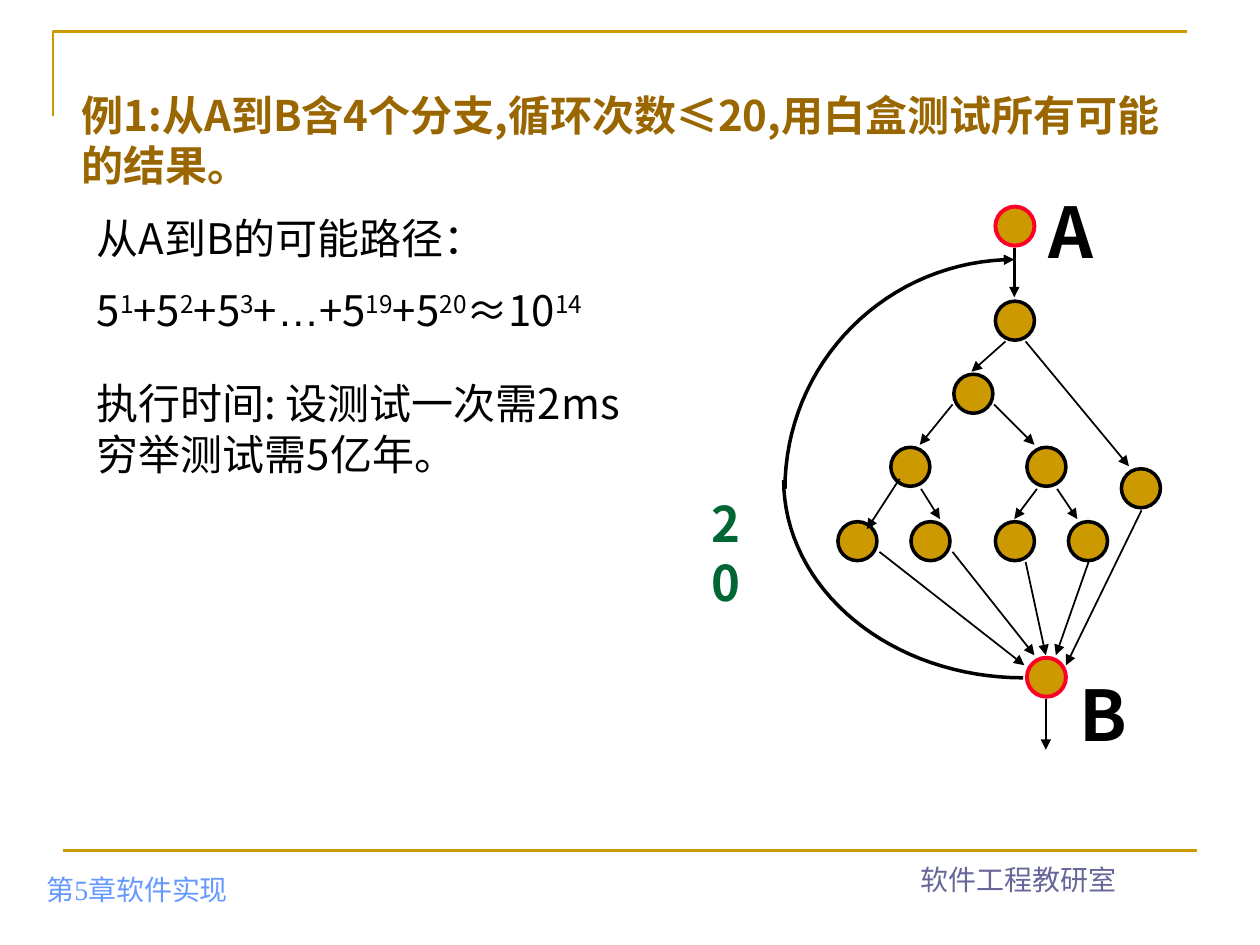
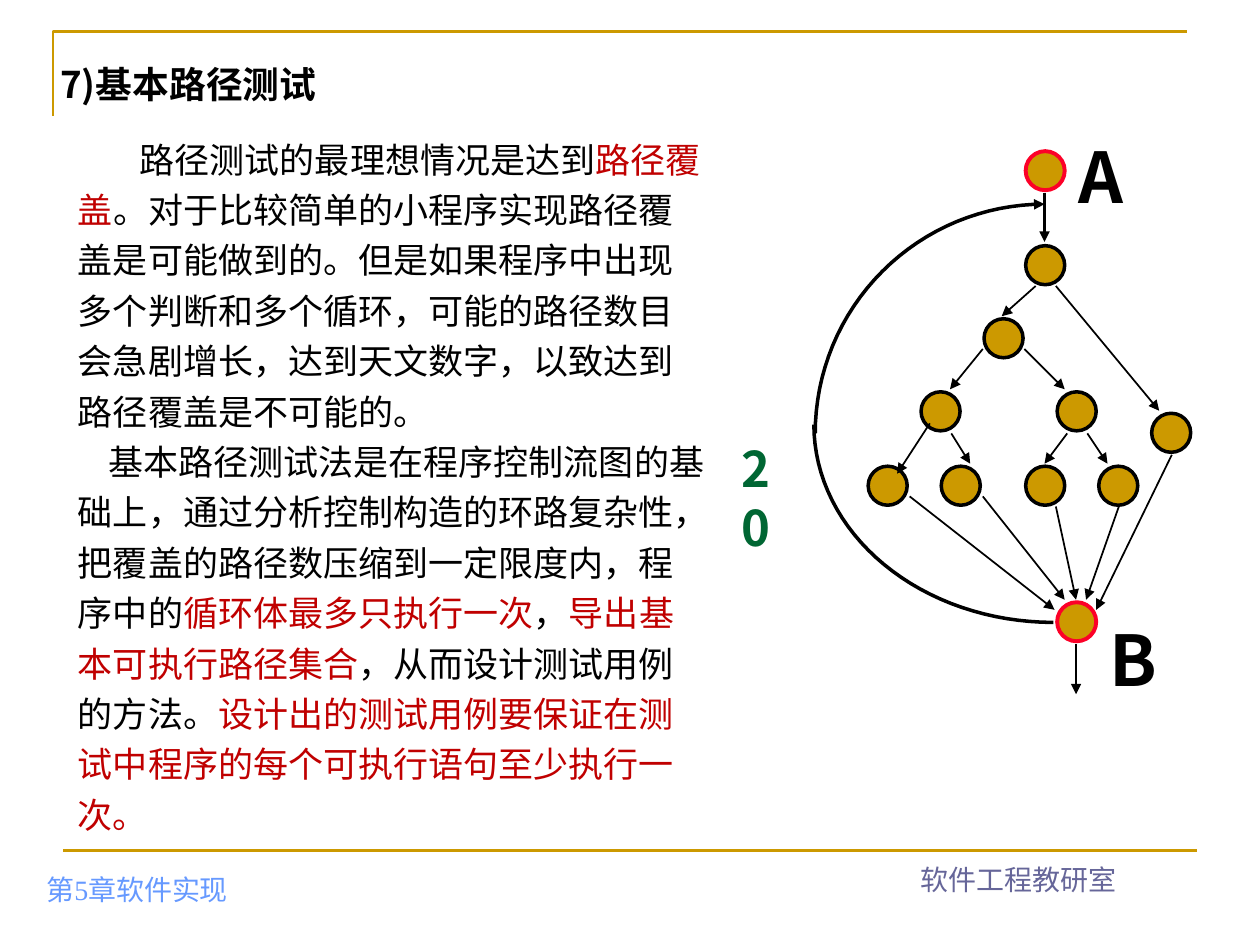
"""Build two slides on path testing, each with text beside a flow graph."""
from math import cos, sin, pi
from lxml.etree import SubElement
from pptx import Presentation
from pptx.dml.color import RGBColor
from pptx.enum.shapes import MSO_CONNECTOR as CONN, MSO_SHAPE as SHAPE
from pptx.enum.text import MSO_ANCHOR as ANCHOR, PP_ALIGN as ALIGN
from pptx.oxml.ns import qn
from pptx.util import Inches, Pt

COLORS = {
    "gold": "CC9900",
    "title": "996600",
    "chapter": "6699FF",
    "office": "666699",
    "green": "006633",
    "key": "C00000",
    "ring": "FC0128",
    "black": "000000",
}
SANS, SERIF = "Noto Sans CJK SC", "Times New Roman"
SUP = {"base": 30000}
KEY = {"color": "key"}


def add_text(s, box, paragraphs, size, color="black", bold=False, font=SANS):
    sp = s.shapes.add_textbox(*[Inches(v) for v in box])
    tf = sp.text_frame
    tf.word_wrap = True
    for i, runs in enumerate(paragraphs):
        p = tf.paragraphs[0] if i == 0 else tf.add_paragraph()
        for text, opts in runs:
            r = p.add_run()
            r.text = text
            r.font.size = Pt(size)
            r.font.bold = bold
            r.font.name = opts.get("font", font)
            r.font.color.rgb = RGBColor.from_string(COLORS[opts.get("color", color)])
            rPr = r.font._element
            SubElement(rPr, qn("a:ea")).set("typeface", SANS)
            if "base" in opts:
                rPr.set("baseline", str(opts["base"]))
    return tf


def style_line(sp, color, width, arrow=False):
    sp.line.color.rgb = RGBColor.from_string(COLORS[color])
    sp.line.width = Pt(width)
    spPr = sp._element.spPr
    if arrow:
        SubElement(spPr.find(qn("a:ln")), qn("a:tailEnd")).set("type", "triangle")
    SubElement(spPr, qn("a:effectLst"))


NODE_SIZE = 0.31
NODES = [
    (7.9, 1.64, "ring"), (7.9, 2.39, "black"), (7.57, 2.97, "black"),
    (7.07, 3.55, "black"), (8.15, 3.55, "black"), (8.9, 3.72, "black"),
    (6.65, 4.14, "black"), (7.23, 4.14, "black"), (7.9, 4.14, "black"),
    (8.48, 4.14, "black"), (8.15, 5.22, "ring"),
]
EDGES = [
    (8.05, 1.97, 8.05, 2.36, 2),
    (7.98, 2.71, 7.71, 2.95, 1),
    (8.14, 2.71, 8.96, 3.7, 1),
    (7.56, 3.21, 7.3, 3.53, 1),
    (7.89, 3.21, 8.21, 3.53, 1),
    (7.14, 3.8, 6.88, 4.2, 1),
    (7.31, 3.88, 7.46, 4.12, 1),
    (8.23, 3.88, 8.05, 4.12, 1),
    (8.39, 3.88, 8.55, 4.12, 1),
    (6.98, 4.38, 8.13, 5.28, 1),
    (7.56, 4.38, 8.21, 5.2, 1),
    (8.14, 4.46, 8.3, 5.2, 1),
    (8.64, 4.46, 8.38, 5.2, 1),
    (9.06, 4.05, 8.46, 5.28, 1),
    (8.3, 5.55, 8.3, 5.95, 1),
]
LOOP_ARCS = [(8.05, 3.88, 1.82, -1.82, True), (8.12, 3.81, 1.9, 1.57, False)]
ARC_STEPS = 32
GRAPH_LABELS = [
    ("20", 5.55, 3.87, 0.59, 0.56, 28, "green"),
    ("A", 8.22, 1.45, 0.33, 0.76, 40, "black"),
    ("B", 8.47, 5.28, 0.33, 0.76, 40, "black"),
]

prs = Presentation()
prs.slide_width, prs.slide_height = Inches(10), Inches(7.5)
blank = prs.slide_layouts[6]

for dx, dy in [(0, 0), (0.24, -0.44)]:
    s = prs.slides.add_slide(blank)

    fb = s.shapes.build_freeform(Inches(0.42), Inches(0.92))
    fb.add_line_segments([(Inches(0.42), Inches(0.25)), (Inches(9.42), Inches(0.25))], close=False)
    sp = fb.convert_to_shape()
    sp.fill.background()
    style_line(sp, "gold", 1.5)
    sp = s.shapes.add_connector(CONN.STRAIGHT, Inches(0.5), Inches(6.75), Inches(9.5), Inches(6.75))
    style_line(sp, "gold", 1.5)
    tf = add_text(s, (0.27, 6.74, 3.15, 0.5), [[("第5章软件实现", {})]], 16, "chapter", font=SERIF)
    tf.vertical_anchor = ANCHOR.BOTTOM
    tf = add_text(s, (6.5, 6.66, 3.17, 0.5), [[("软件工程教研室", {})]], 16, "office", font=SERIF)
    tf.vertical_anchor = ANCHOR.BOTTOM
    tf.paragraphs[0].alignment = ALIGN.CENTER

    for x, y, ring in NODES:
        sp = s.shapes.add_shape(SHAPE.OVAL, Inches(x + dx), Inches(y + dy),
                                Inches(NODE_SIZE), Inches(NODE_SIZE))
        sp.fill.solid()
        sp.fill.fore_color.rgb = RGBColor.from_string(COLORS["gold"])
        style_line(sp, ring, 2.25 if ring == "ring" else 2)
    for x1, y1, x2, y2, width in EDGES:
        sp = s.shapes.add_connector(CONN.STRAIGHT, Inches(x1 + dx), Inches(y1 + dy),
                                    Inches(x2 + dx), Inches(y2 + dy))
        style_line(sp, "black", width, arrow=True)
    for cx, cy, rx, ry, arrow in LOOP_ARCS:
        angles = [pi / 2 * i / ARC_STEPS for i in range(ARC_STEPS + 1)]
        points = [(Inches(cx + dx - rx * cos(a)), Inches(cy + dy + ry * sin(a))) for a in angles]
        fb = s.shapes.build_freeform(*points[0])
        fb.add_line_segments(points[1:], close=False)
        sp = fb.convert_to_shape()
        sp.fill.background()
        style_line(sp, "black", 2, arrow)
    for text, x, y, w, h, size, color in GRAPH_LABELS:
        add_text(s, (x + dx, y + dy, w, h), [[(text, {})]], size, color, bold=True)

count_slide, basis_slide = prs.slides

add_text(count_slide, (0.55, 0.66, 8.9, 0.79),
         [[("例1:从A到B含4个分支,循环次数≤20,用白盒测试所有可能的结果。", {})]], 24, "title", bold=True)
path_sum = [
    ("5", {}), ("1", SUP), ("+5", {}), ("2", SUP), ("+5", {}), ("3", SUP), ("+", {}),
    ("…", {"font": "Arial"}), ("+5", {}), ("19", SUP), ("+5", {}), ("20", SUP),
    ("≈10", {}), ("14", SUP),
]
tf = add_text(count_slide, (0.67, 1.64, 5.43, 1.1), [[("从A到B的可能路径：", {})], path_sum], 24)
tf.paragraphs[1].space_before = Pt(12)
add_text(count_slide, (0.67, 2.95, 4.73, 0.9),
         [[("执行时间: 设测试一次需2ms 穷举测试需5亿年。", {})]], 24)

tf = add_text(basis_slide, (0.38, 0.2, 8.82, 0.47), [[("7)基本路径测试", {})]], 21, bold=True)
tf.margin_top = Inches(0.29)
ideal = [
    ("路径测试的最理想情况是达到", {}),
    ("路径覆盖", KEY),
    ("。对于比较简单的小程序实现路径覆盖是可能做到的。但是如果程序中出现多个判断和多个循环，"
     "可能的路径数目会急剧增长，达到天文数字，以致达到路径覆盖是不可能的。", {}),
]
basis = [
    ("基本路径测试法是在程序控制流图的基础上，通过分析控制构造的环路复杂性，"
     "把覆盖的路径数压缩到一定限度内，程序中的", {}),
    ("循环体最多只执行一次", KEY),
    ("，", {}),
    ("导出基本可执行路径集合", KEY),
    ("，从而设计测试用例的方法。", {}),
    ("设计出的测试用例要保证在测试中程序的每个可执行语句至少执行一次。", KEY),
]
tf = add_text(basis_slide, (0.52, 0.98, 5.18, 5.7), [ideal, basis], 20)
for p, indent in zip(tf.paragraphs, (0.49, 0.24)):
    p.line_spacing = 1.2
    p._p.get_or_add_pPr().set("indent", str(Inches(indent)))

prs.save("out.pptx")
